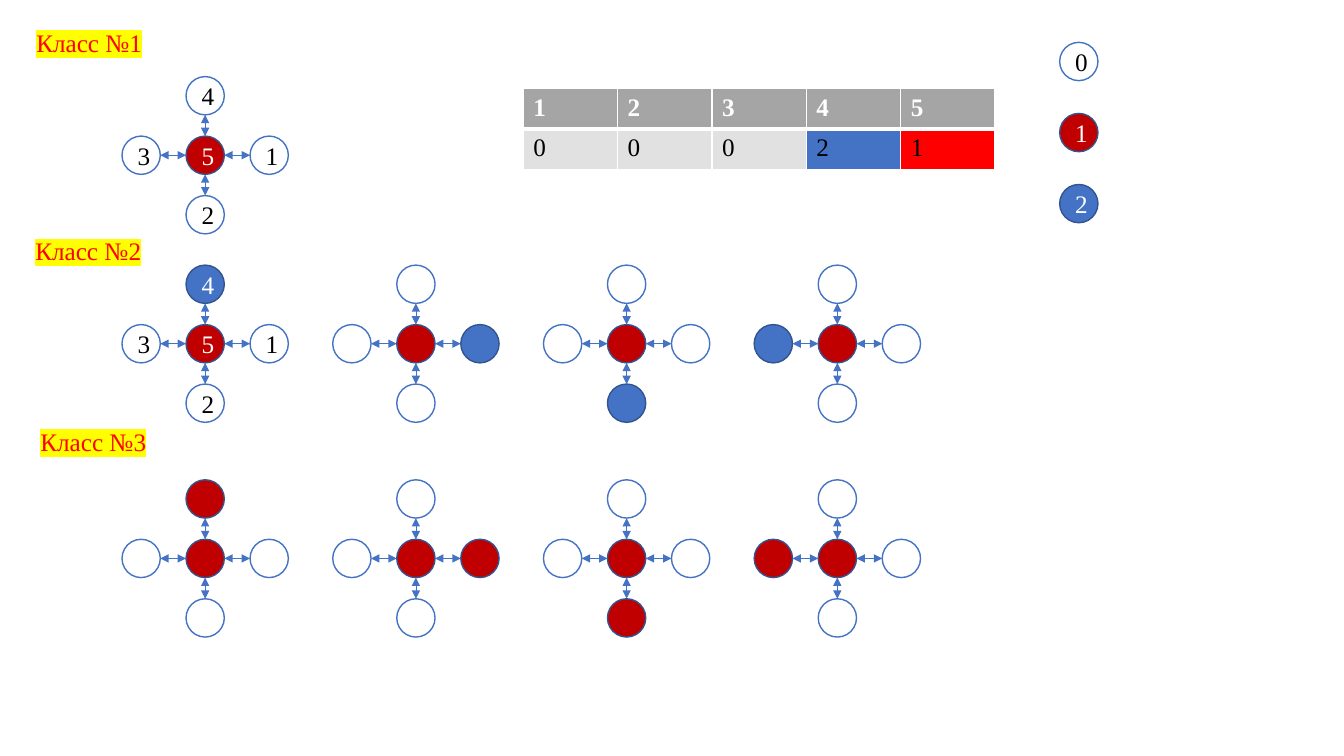
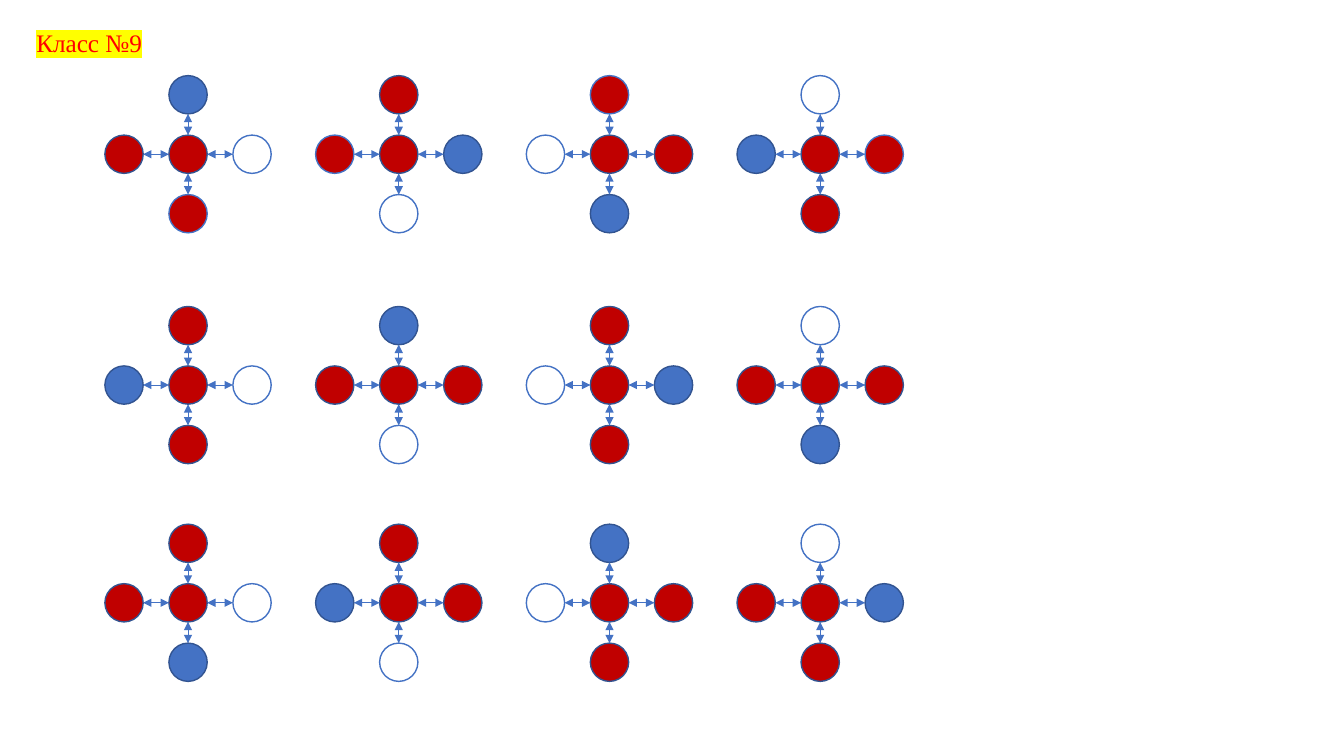
from lxml import etree
from pptx import Presentation
from pptx.dml.color import RGBColor
from pptx.enum.shapes import MSO_CONNECTOR, MSO_SHAPE
from pptx.enum.text import MSO_ANCHOR, MSO_AUTO_SIZE, PP_ALIGN
from pptx.oxml.ns import qn
from pptx.util import Inches, Pt

ELLIPSE = MSO_SHAPE.OVAL
STRAIGHT = MSO_CONNECTOR.STRAIGHT
CENTER, MIDDLE = PP_ALIGN.CENTER, MSO_ANCHOR.MIDDLE
FIT_TEXT = MSO_AUTO_SIZE.SHAPE_TO_FIT_TEXT

COLORS = {
    "white": "FFFFFF", "black": "000000", "blue": "4472C4", "navy": "325491",
    "crimson": "C00000", "red": "FF0000", "yellow": "FFFF00",
    "header": "A5A5A5", "cell": "E1E1E1",
}
FONT = "Times New Roman"
FONT_SIZE = 18

NODE_STYLES = {
    "0": ("white", "blue", "black"),
    "1": ("crimson", "navy", "white"),
    "2": ("blue", "navy", "white"),
    "r": ("crimson", "blue", "white"),
}
NODE = 0.38
CROSS_W, CROSS_H = 1.65, 1.56
CROSS_PITCH = 2.09
DIRECTIONS = ((0, -1), (1, 0), (0, 1), (-1, 0))
CROSS_LABELS = "41235"


def rgb(name):
    return RGBColor.from_string(COLORS[name])


def style_run(r, color, bold=False):
    r.font.name = FONT
    r.font.size = Pt(FONT_SIZE)
    r.font.bold = bold
    r.font.color.rgb = rgb(color)


def add_solid_fill(parent, color):
    fill = etree.SubElement(parent, qn("a:solidFill"))
    etree.SubElement(fill, qn("a:srgbClr"), val=COLORS[color])


def add_node(group, x, y, state, text=""):
    fill, line, color = NODE_STYLES[state]
    sp = group.shapes.add_shape(ELLIPSE, Inches(x), Inches(y), Inches(NODE), Inches(NODE))
    sp.shadow.inherit = False
    sp.fill.solid()
    sp.fill.fore_color.rgb = rgb(fill)
    sp.line.color.rgb = rgb(line)
    sp.line.width = Pt(1)
    if text:
        tf = sp.text_frame
        tf.text = text
        tf.vertical_anchor = MIDDLE
        p = tf.paragraphs[0]
        p.alignment = CENTER
        style_run(p.runs[0], color)


def add_arrow(group, x1, y1, x2, y2):
    cxn = group.shapes.add_connector(STRAIGHT, Inches(x1), Inches(y1), Inches(x2), Inches(y2))
    cxn.line.color.rgb = rgb("blue")
    cxn.line.width = Pt(0.5)
    sp_pr = cxn._element.spPr
    ln = sp_pr.find(qn("a:ln"))
    for end in ("a:headEnd", "a:tailEnd"):
        etree.SubElement(ln, qn(end), type="triangle")
    etree.SubElement(sp_pr, qn("a:effectLst"))


def add_cross(s, x, y, states, labels=""):
    group = s.shapes.add_group_shape()
    cx, cy = x + CROSS_W / 2, y + CROSS_H / 2
    step_x, step_y = (CROSS_W - NODE) / 2, (CROSS_H - NODE) / 2
    radius = NODE / 2
    for i, (dx, dy) in enumerate(DIRECTIONS + ((0, 0),)):
        add_node(group, cx + dx * step_x - radius, cy + dy * step_y - radius,
                 (states + "1")[i], labels[i:i + 1])
    for dx, dy in DIRECTIONS:
        add_arrow(group, cx + dx * radius, cy + dy * radius,
                  cx + dx * (step_x - radius), cy + dy * (step_y - radius))


def add_rotations(s, x, y, states, first_labels=""):
    for turn in range(len(DIRECTIONS)):
        split = len(states) - turn
        add_cross(s, x + turn * CROSS_PITCH, y, states[split:] + states[:split],
                  "" if turn else first_labels)


def add_class_label(s, x, y, number):
    tb = s.shapes.add_textbox(Inches(x), Inches(y), Inches(2.21), Inches(0.4))
    tf = tb.text_frame
    tf.word_wrap = True
    tf.auto_size = FIT_TEXT
    tf.text = f"Класс №{number}"
    p = tf.paragraphs[0]
    p.alignment = CENTER
    r = p.runs[0]
    style_run(r, "red")
    highlight = etree.Element(qn("a:highlight"))
    etree.SubElement(highlight, qn("a:srgbClr"), val=COLORS["yellow"])
    r._r.get_or_add_rPr().find(qn("a:solidFill")).addnext(highlight)


def add_legend(s, x, y, h):
    group = s.shapes.add_group_shape()
    for i, state in enumerate("012"):
        add_node(group, x, y + i * (h - NODE) / 2, state, state)


def style_cell(cell, fill, color, bold, top, bottom):
    tc_pr = cell._tc.get_or_add_tcPr()
    for side, width in (("L", 1), ("R", 1), ("T", top), ("B", bottom)):
        ln = etree.SubElement(tc_pr, qn(f"a:ln{side}"), w=str(Pt(width)))
        add_solid_fill(ln, "white")
    cell.fill.solid()
    cell.fill.fore_color.rgb = rgb(fill)
    style_run(cell.text_frame.paragraphs[0].runs[0], color, bold)


def add_state_table(s, x, y, w, h):
    values = ("12345", "00021")
    body_fills = {"0": "cell", "1": "red", "2": "blue"}
    table = s.shapes.add_table(2, 5, Inches(x), Inches(y), Inches(w), Inches(h)).table
    table.horz_banding = False
    for i, row in enumerate(values):
        for j, value in enumerate(row):
            cell = table.cell(i, j)
            cell.text_frame.text = value
            if i == 0:
                style_cell(cell, "header", "white", True, 1, 3)
            else:
                style_cell(cell, body_fills[value], "black", False, 3, 1)


def build_first_classes(s):
    x = 1.21
    add_cross(s, x, 0.76, "0000", CROSS_LABELS)
    add_rotations(s, x, 2.63, "2000", CROSS_LABELS)
    add_rotations(s, x, 4.76, "1000")
    for number, (left, top) in enumerate(((-0.22, 0.22), (-0.23, 2.29), (-0.18, 4.18)), 1):
        add_class_label(s, left, top, number)
    add_legend(s, 10.51, 0.42, 1.79)
    add_state_table(s, 5.19, 0.88, 4.68, 0.8)


def build_ninth_class(s):
    add_class_label(s, -0.22, 0.22, 9)
    for y, states in ((0.75, "20r1"), (3.04, "1012"), (5.2, "1021")):
        add_rotations(s, 1.04, y, states)


def main():
    prs = Presentation()
    prs.slide_width, prs.slide_height = Inches(13.33), Inches(7.5)
    for build in (build_first_classes, build_ninth_class):
        build(prs.slides.add_slide(prs.slide_layouts[6]))
    prs.save("out.pptx")


if __name__ == "__main__":
    main()
